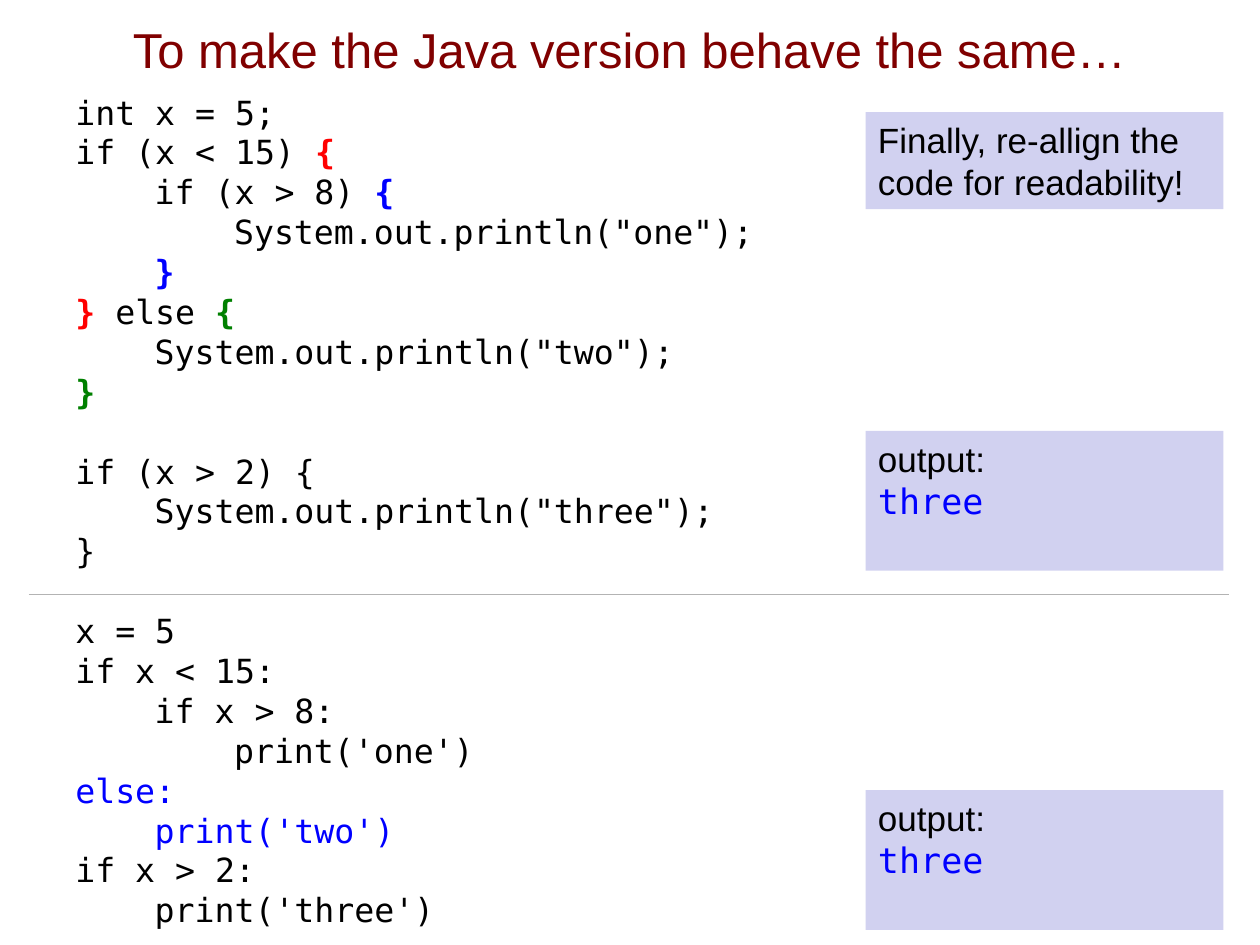
from pptx import Presentation, util as u
from pptx.dml.color import RGBColor
from pptx.enum import shapes, text
from pptx.oxml.ns import qn
from lxml import etree

SANS, MONO = "Arial", "DejaVu Sans Mono"
BLACK, BLUE, RED, GREEN = "000000", "0000FF", "FF0000", "008000"
TAB = 0.63   # one level of code indent, inches
GAP = 22.8   # one empty code line, points


def rgb(code):
    return RGBColor.from_string(code)


class Deck:
    def __init__(self, slide):
        self.slide = slide

    def font(self, font, size, face=SANS, color=BLACK):
        font.size, font.name = u.Pt(size), face
        font.color.rgb = rgb(color)

    def frame(self, shape, anchor=text.MSO_ANCHOR.TOP):
        frame = shape.text_frame
        frame.word_wrap = True
        frame.vertical_anchor = anchor
        return frame

    def area(self, *box):
        return self.slide.shapes.add_textbox(*map(u.Inches, box))

    def rule(self, left, right, top):
        line = self.slide.shapes.add_connector(
            shapes.MSO_CONNECTOR.STRAIGHT,
            *map(u.Inches, (left, top, right, top)))
        line.line.color.rgb = rgb("B3B3B3")
        line.line.width = u.Pt(0.75)
        etree.SubElement(line._element.spPr, qn("a:effectLst"))

    def title(self, words, *box):
        frame = self.frame(self.area(*box), text.MSO_ANCHOR.MIDDLE)
        para = frame.paragraphs[0]
        para.text = words
        para.alignment = text.PP_ALIGN.CENTER
        self.font(para.font, 28, color="800000")

    def code(self, lines, *box):
        frame = self.frame(self.area(*box))
        para, space = frame.paragraphs[0], 0
        for line in lines:
            if line is None:
                space = GAP
                continue
            level, *parts = line
            if para.runs:
                para = frame.add_paragraph()
            para.space_before = u.Pt(space)
            para._p.get_or_add_pPr().set("marL", str(u.Inches(level * TAB)))
            space = 0
            colors = {color for _, color, _ in parts}
            self.font(para.font, 19, MONO,
                      colors.pop() if len(colors) == 1 else BLACK)
            for words, color, bold in parts:
                run = para.add_run()
                run.text = words
                if bold:
                    run.font.bold = True
                    run.font.color.rgb = rgb(color)

    def note(self, top, height, *lines):
        box = self.slide.shapes.add_shape(
            shapes.MSO_SHAPE.RECTANGLE,
            *map(u.Inches, (6.87, top, 2.84, height)))
        box.shadow.inherit = False
        box.fill.solid()
        box.fill.fore_color.rgb = rgb("D1D1F0")
        box.line.fill.background()
        frame = self.frame(box)
        for i, (words, face, color) in enumerate(lines):
            para = frame.add_paragraph() if i else frame.paragraphs[0]
            para.text = words
            para.alignment = text.PP_ALIGN.LEFT
            self.font(para.font, 20, face, color)


def plain(words, color=BLACK):
    return words, color, False


def brace(mark, color):
    return mark, color, True


def main():
    prs = Presentation()
    prs.slide_width, prs.slide_height = u.Inches(10), u.Inches(7.5)
    deck = Deck(prs.slides.add_slide(prs.slide_layouts[6]))

    # Divider between the two languages
    deck.rule(0.23, 9.75, 4.72)

    # Code: indent level, then the parts of the line; None is a gap
    java = [
        (0, plain("int x = 5;")),
        (0, plain("if (x < 15) "), brace("{", RED)),
        (1, plain("if (x > 8) "), brace("{", BLUE)),
        (2, plain('System.out.println("one");')),
        (1, brace("}", BLUE)),
        (0, brace("}", RED), plain(" else "), brace("{", GREEN)),
        (1, plain('System.out.println("two");')),
        (0, brace("}", GREEN)),
        None,
        (0, plain("if (x > 2) {")),
        (1, plain('System.out.println("three");')),
        (0, plain("}")),
    ]
    python = [
        (0, plain("x = 5")),
        (0, plain("if x < 15:")),
        (1, plain("if x > 8:")),
        (2, plain("print('one')")),
        (0, plain("else:", BLUE)),
        (1, plain("print('two')", BLUE)),
        (0, plain("if x > 2:")),
        (1, plain("print('three')")),
    ]
    deck.code(java + [None] + python, 0.5, 0.68, 9, 6.08)

    # Title
    deck.title("To make the Java version behave the same…",
               0.08, -0.11, 9.83, 1)

    # Remark and the output of each program
    deck.note(0.89, 0.77,
              ("Finally, re-allign the code for readability!", SANS, BLACK))
    for top in (3.42, 6.27):
        deck.note(top, 1.11, ("output:", SANS, BLACK), ("three", MONO, BLUE))

    prs.save("out.pptx")


if __name__ == "__main__":
    main()
